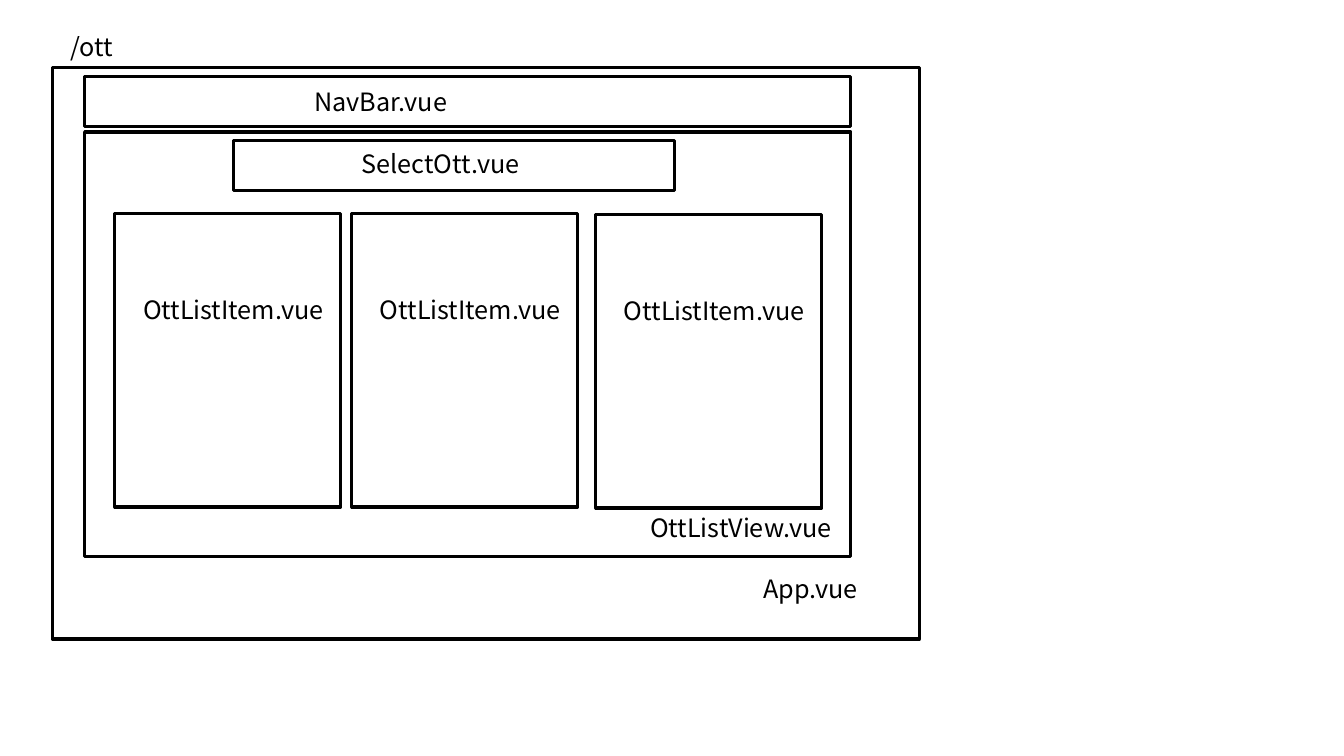
from dataclasses import dataclass

from pptx import Presentation
from pptx.dml.color import RGBColor
from pptx.enum.shapes import MSO_SHAPE
from pptx.util import Emu, Pt

RECTANGLE = MSO_SHAPE.RECTANGLE
EMU_PER_PX = 9144  # 100 px to the inch
FONT = "Noto Sans CJK KR"
BLACK = "000000"
LABEL_H = 40


@dataclass
class Frame:
    x: int
    y: int
    w: int
    h: int


@dataclass
class Label:
    text: str
    x: int
    y: int
    w: int
    h: int = LABEL_H


def px(n: int) -> Emu:
    return Emu(n * EMU_PER_PX)


def color(hex_code: str) -> RGBColor:
    return RGBColor.from_string(hex_code)


def draw_frame(slide, f: Frame) -> None:
    s = slide.shapes.add_shape(RECTANGLE, px(f.x), px(f.y), px(f.w), px(f.h))
    s.shadow.inherit = False
    s.fill.background()
    s.line.color.rgb = color(BLACK)
    s.line.width = Pt(2.25)


def draw_label(slide, label: Label) -> None:
    s = slide.shapes.add_textbox(px(label.x), px(label.y), px(label.w), px(label.h))
    tf = s.text_frame
    tf.word_wrap = True
    p = tf.paragraphs[0]
    p.text = label.text
    p.font.name = FONT
    p.font.size = Pt(18)
    p.font.color.rgb = color(BLACK)


# Page, navigation bar, list view and selector
FRAMES = [
    Frame(52, 67, 860, 567),
    Frame(84, 76, 760, 50),
    Frame(84, 131, 760, 421),
    Frame(232, 139, 437, 50),
]
LABELS = [
    Label("/ott", 60, 26, 145),
    Label("App.vue", 747, 564, 242, 82),
    Label("NavBar.vue", 302, 81, 156),
    Label("OttListView.vue", 635, 503, 223),
    Label("SelectOtt.vue", 349, 142, 202),
]

# List items: left and top of each card
ITEMS = [(114, 212), (349, 212), (591, 213)]


def main() -> None:
    prs = Presentation()
    prs.slide_width, prs.slide_height = px(1333), px(750)
    slide = prs.slides.add_slide(prs.slide_layouts[6])

    for frame in FRAMES:
        draw_frame(slide, frame)
    for label in LABELS:
        draw_label(slide, label)
    for x, y in ITEMS:
        draw_frame(slide, Frame(x, y, 224, 291))
        draw_label(slide, Label("OttListItem.vue", x + 18, y + 75, 231))

    prs.save("out.pptx")


if __name__ == "__main__":
    main()
